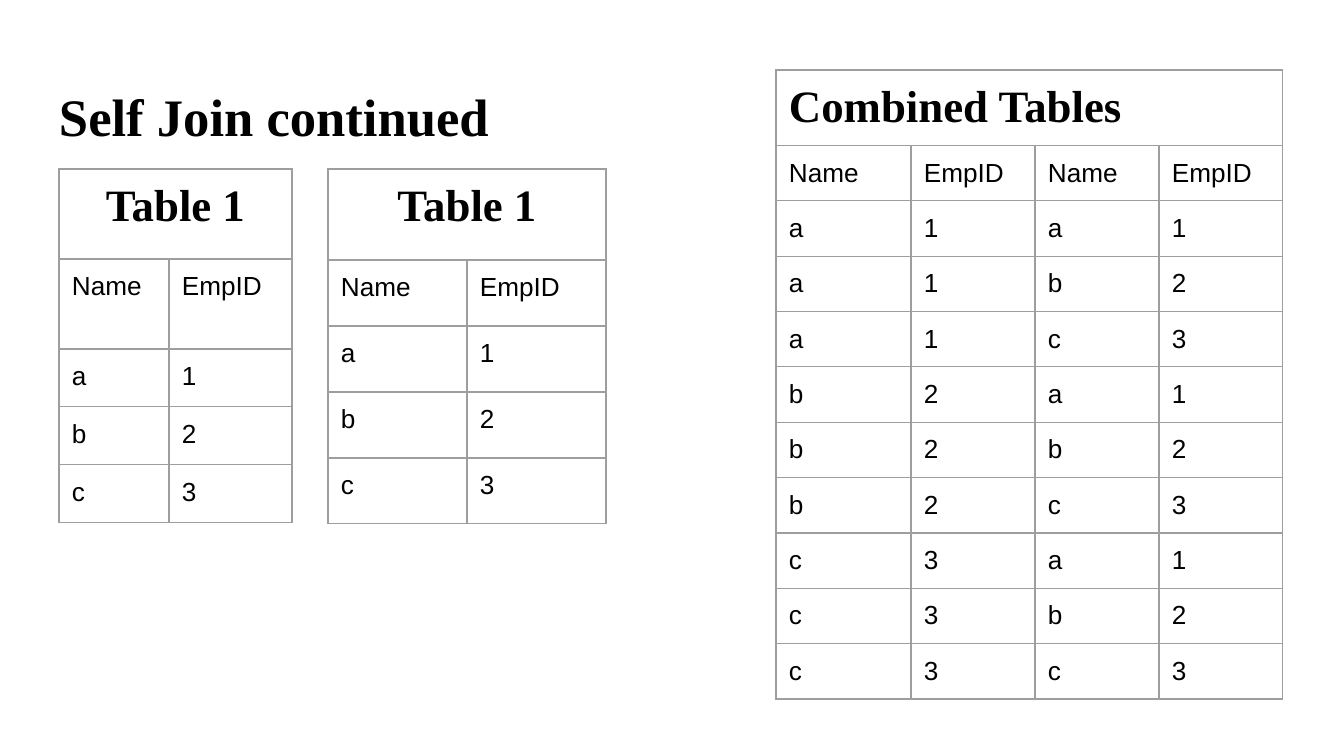
"""Build the self join slide: two source tables and their combination."""
from itertools import product

from lxml import etree
from pptx import Presentation
from pptx import util as u
from pptx.dml import color as c
from pptx.enum import text
from pptx.oxml import ns

SCALE = 914400 / 134.4
PAD = 13
HEADING = {"name": "Times New Roman", "size": u.Pt(24), "bold": True}
BODY = {"name": "Arial", "size": u.Pt(14), "bold": False}
TITLE = {**HEADING, "size": u.Pt(28.2)}


def px(n):
    """Turn whole pixels into EMU."""
    return u.Emu(round(n * SCALE))


def color(value):
    """Turn a hex string into a colour."""
    return c.RGBColor.from_string(value)


def assign(obj, values):
    """Set each attribute named in a dict."""
    for name, value in values.items():
        setattr(obj, name, value)


class Deck:
    """Hold the style and the current slide."""

    ink = "000000"
    rule = "9E9E9E"

    def __init__(self, width, height):
        """Start a presentation with one title-only slide."""
        self.prs = Presentation()
        assign(self.prs, {"slide_width": px(width), "slide_height": px(height)})
        self.s = self.prs.slides.add_slide(self.prs.slide_layouts[5])

    def label(self, tf, words, font, align):
        """Put one formatted run in a text frame."""
        p = tf.paragraphs[0]
        p.alignment = align
        r = p.add_run()
        r.text = words
        assign(r.font, font)
        r.font.color.rgb = color(self.ink)

    def title(self, words, left, top, width, height):
        """Place and format the title."""
        sp = self.s.shapes.title
        assign(sp, {"left": px(left), "top": px(top),
                    "width": px(width), "height": px(height)})
        tf = sp.text_frame
        assign(tf, {"margin_left": px(PAD), "margin_right": px(PAD),
                    "margin_top": px(18), "margin_bottom": px(PAD),
                    "word_wrap": True, "auto_size": text.MSO_AUTO_SIZE.NONE,
                    "vertical_anchor": text.MSO_ANCHOR.TOP})
        self.label(tf, words, TITLE, text.PP_ALIGN.LEFT)

    def border(self, cell):
        """Draw a thin line on all four sides of a cell."""
        tc_pr = cell._tc.get_or_add_tcPr()
        for i, side in enumerate(("lnL", "lnR", "lnT", "lnB")):
            ln = etree.Element(ns.qn(f"a:{side}"), w=str(u.Pt(0.75)))
            fill = etree.SubElement(ln, ns.qn("a:solidFill"))
            etree.SubElement(fill, ns.qn("a:srgbClr"), val=self.rule)
            tc_pr.insert(i, ln)

    def table(self, heading, rows, left, top, widths, heights,
              align=text.PP_ALIGN.LEFT):
        """Add a ruled table under a merged heading row."""
        frame = self.s.shapes.add_table(len(heights), len(widths), px(left), px(top),
                                        px(sum(widths)), px(sum(heights)))
        table = frame.table
        assign(table, {"first_row": False, "horz_banding": False})
        for col, width in zip(table.columns, widths):
            col.width = px(width)
        for row, height in zip(table.rows, heights):
            row.height = px(height)
        for cell in table.iter_cells():
            assign(cell, {f"margin_{side}": px(PAD)
                          for side in ("left", "right", "top", "bottom")})
            cell.fill.background()
            self.border(cell)
        table.cell(0, 0).merge(table.cell(0, len(widths) - 1))
        self.label(table.cell(0, 0).text_frame, heading, HEADING, align)
        for i, row in enumerate(rows, 1):
            for j, words in enumerate(row):
                self.label(table.cell(i, j).text_frame, words, BODY, text.PP_ALIGN.LEFT)


def main():
    """Build and save the slide."""
    header = ("Name", "EmpID")
    people = [("a", "1"), ("b", "2"), ("c", "3")]
    source = [header, *people]
    combined = [header * 2, *(x + y for x, y in product(people, repeat=2))]

    deck = Deck(1344, 756)
    deck.title("Self Join continued", 46, 66, 1253, 85)
    center = text.PP_ALIGN.CENTER
    deck.table("Table 1", source, 59, 169, [110, 123], [90] * 2 + [58] * 3, center)
    deck.table("Table 1", source, 328, 169, [139] * 2, [91] + [66] * 4, center)
    deck.table("Combined Tables", combined, 776, 70, [135] + [124] * 3, [64] + [47] * 10)
    deck.prs.save("out.pptx")


if __name__ == "__main__":
    main()
